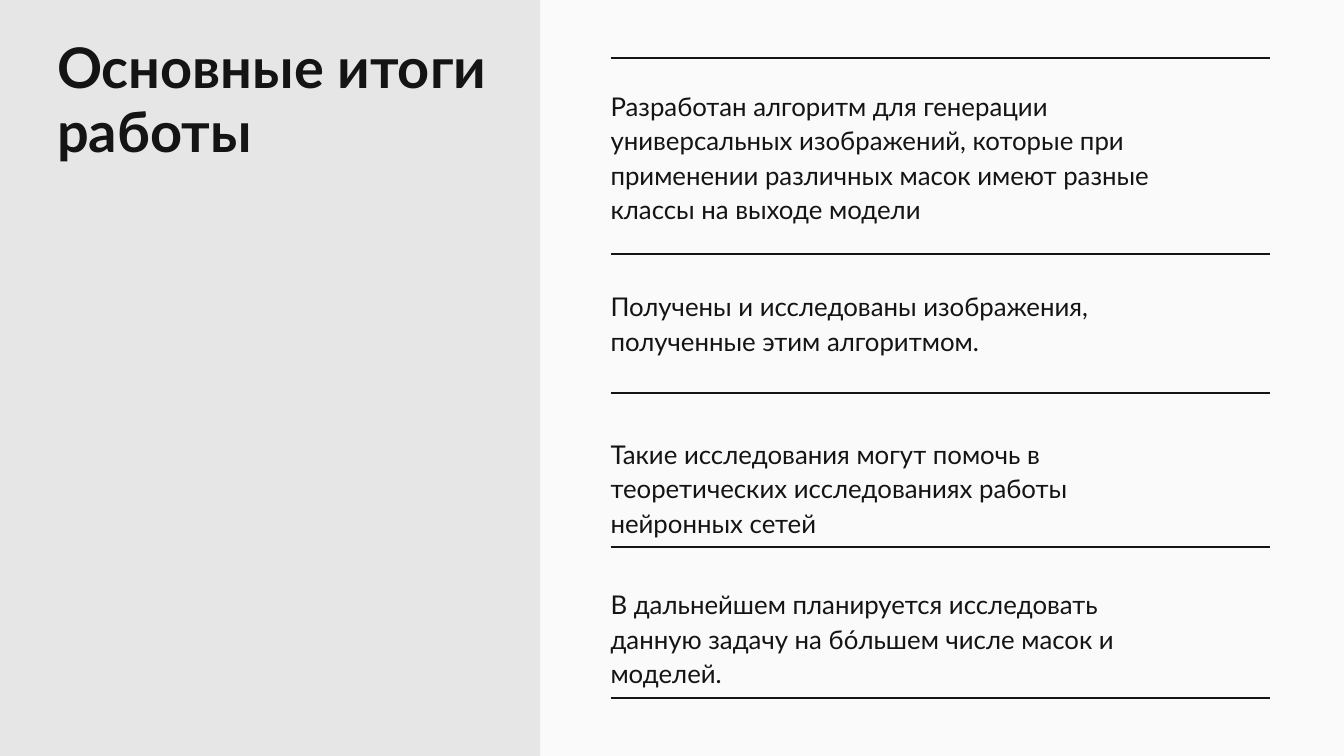
import pptx
import pptx.util
import pptx.dml.color
import pptx.enum.shapes
import pptx.enum.text
import lxml.etree

Cm = pptx.util.Cm
Pt = pptx.util.Pt

TITLE = ["Основные итоги", "работы"]
ITEMS = [
    (3.58, 5.61, "Разработан алгоритм для генерации универсальных изображений, "
     "которые при применении различных масок имеют разные классы на выходе модели"),
    (11.79, 2.77, "Получены и исследованы изображения, полученные этим алгоритмом."),
    (17.83, 2.77, "Такие исследования могут помочь в теоретических исследованиях "
     "работы нейронных сетей"),
    (24, 2.77, "В дальнейшем планируется исследовать данную задачу "
     "на бо́льшем числе масок и моделей."),
]
RULES = [2.39, 10.41, 16.1, 22.43, 28.6]

THEME = {
    "font": "Lato",
    "ink": pptx.dml.color.RGBColor.from_string("141414"),
    "panel": pptx.dml.color.RGBColor.from_string("E6E6E6"),
    "back": pptx.dml.color.RGBColor.from_string("FAFAFA"),
    "title": {"size": 65, "lead": 75, "after": 0, "bold": True},
    "body": {"size": 30, "lead": 40, "after": 30, "bold": False},
}
WIDE, HIGH = 55.12, 30.99
PANEL = 22.15
LEFT, RIGHT = 25.04, 52.1


def add_text(slide, box, lines, style, anchor):
    frame = slide.shapes.add_textbox(*map(Cm, box)).text_frame
    frame.margin_left = frame.margin_right = 0
    frame.margin_top = frame.margin_bottom = 0
    frame.word_wrap = True
    frame.auto_size = pptx.enum.text.MSO_AUTO_SIZE.SHAPE_TO_FIT_TEXT
    frame.vertical_anchor = anchor
    frame.text = "\n".join(lines)
    for para in frame.paragraphs:
        para.line_spacing = Pt(style["lead"])
        para.space_after = Pt(style["after"])
        for run in para.runs:
            run.font.name = THEME["font"]
            run.font.size = Pt(style["size"])
            run.font.bold = style["bold"]
            run.font.color.rgb = THEME["ink"]


def add_rule(slide, top):
    rule = slide.shapes.add_connector(
        pptx.enum.shapes.MSO_CONNECTOR.STRAIGHT,
        Cm(LEFT), Cm(top), Cm(RIGHT), Cm(top))
    rule.line.color.rgb = THEME["ink"]
    rule.line.width = Pt(2)
    lxml.etree.SubElement(
        rule._element.spPr, pptx.oxml.ns.qn("a:effectLst"))


def main():
    deck = pptx.Presentation()
    deck.slide_width, deck.slide_height = Cm(WIDE), Cm(HIGH)
    slide = deck.slides.add_slide(deck.slide_layouts[6])
    slide.background.fill.solid()
    slide.background.fill.fore_color.rgb = THEME["back"]

    panel = slide.shapes.add_shape(
        pptx.enum.shapes.MSO_SHAPE.RECTANGLE, 0, 0, Cm(PANEL), Cm(HIGH))
    panel.shadow.inherit = False
    panel.fill.solid()
    panel.fill.fore_color.rgb = THEME["panel"]
    panel.line.fill.background()

    for top in RULES:
        add_rule(slide, top)

    anchor = pptx.enum.text.MSO_ANCHOR
    add_text(slide, (2.34, 1.42, 21.13, 5.33), TITLE, THEME["title"], anchor.MIDDLE)
    for top, high, text in ITEMS:
        add_text(slide, (LEFT, top, 23.29, high), [text], THEME["body"], anchor.TOP)

    deck.save("out.pptx")


if __name__ == "__main__":
    main()
